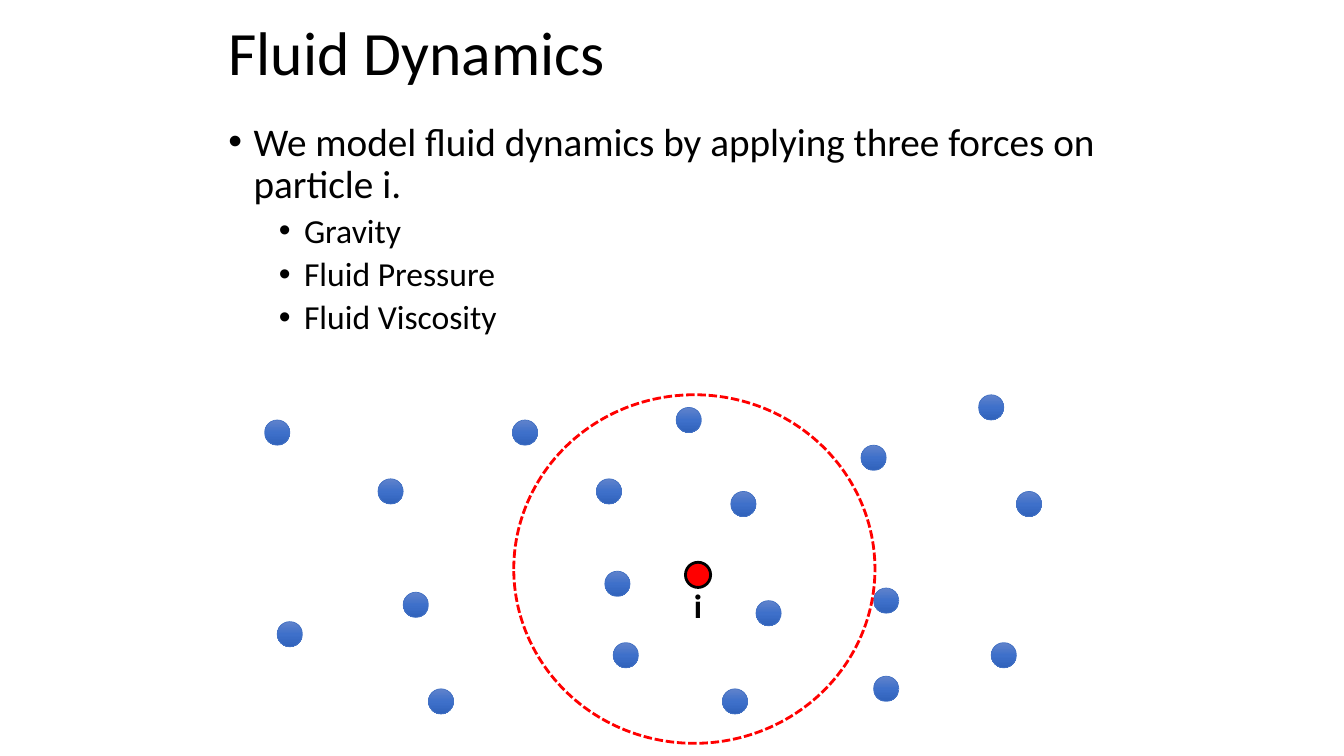
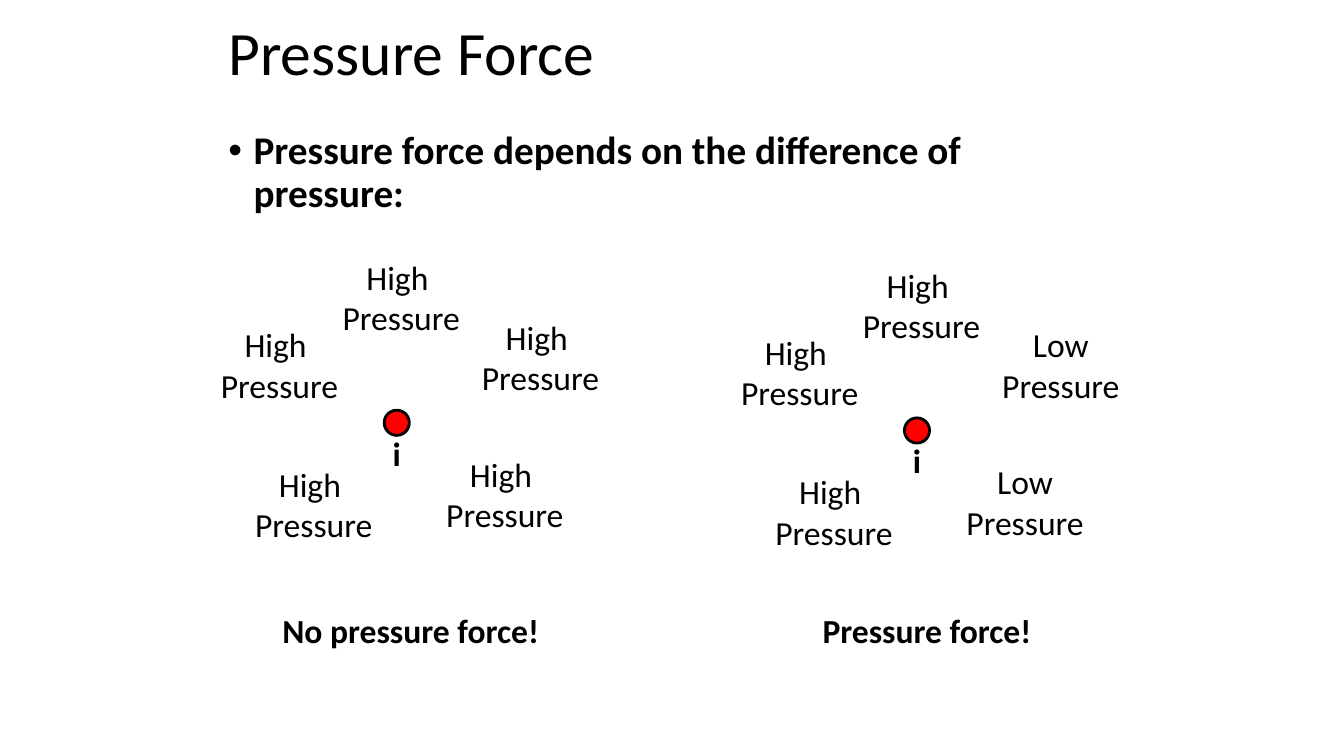
from copy import deepcopy
from dataclasses import dataclass

from lxml.etree import SubElement
from pptx import Presentation
from pptx.dml.color import RGBColor
from pptx.enum.dml import MSO_LINE
from pptx.enum.shapes import MSO_SHAPE
from pptx.enum.text import MSO_ANCHOR, MSO_AUTO_SIZE, PP_ALIGN
from pptx.oxml.ns import qn
from pptx.presentation import Presentation as Deck
from pptx.shapes.autoshape import Shape
from pptx.slide import Slide
from pptx.text.text import _Paragraph as Paragraph
from pptx.util import Pt

FONT = "Calibri"
BLACK = RGBColor(0x00, 0x00, 0x00)
RED = RGBColor(0xFF, 0x00, 0x00)
PARTICLE_EDGE = RGBColor(0x44, 0x72, 0xC4)
PARTICLE_GRADIENT = (
    RGBColor(0x61, 0x83, 0xCB),
    RGBColor(0x3E, 0x70, 0xCA),
    RGBColor(0x30, 0x62, 0xBB),
)

CONTENT_LEFT, CONTENT_WIDTH = 156, 648
PARTICLE_SIZE = 18
LABEL_SIZE = 24
CAPTION_TOP = 432

NEIGHBOURS = (
    (270, 342), (438, 459), (516, 492), (366, 300), (432, 408),
    (426, 342), (540, 429), (483, 291), (615, 318), (624, 420),
    (522, 351), (708, 459), (288, 423), (726, 351), (699, 282),
    (624, 483), (198, 444), (189, 300), (306, 492),
)

# Label positions relative to particle i: top, left, upper right, lower right, lower left
PRESSURE_OFFSETS = ((-37.5, -113), (-124.5, -65), (62, -70.5), (36.5, 27.5), (-100, 34.5))
HIGH, LOW = "High ", "Low"


@dataclass(frozen=True)
class Bullet:
    text: str
    level: int = 0
    bold: bool = False


@dataclass(frozen=True)
class PressureCase:
    left: float
    top: float
    levels: tuple[str, ...]
    caption: str
    caption_left: float
    caption_width: float


PRESSURE_CASES = (
    PressureCase(274.4, 293, (HIGH,) * 5, "No pressure force!", 193.7, 199.4),
    PressureCase(646, 298.5, (HIGH, HIGH, LOW, LOW, HIGH), "Pressure force!", 579.6, 165),
)


def add_text(paragraph: Paragraph, text: str, size: float, bold: bool = False) -> None:
    run = paragraph.add_run()
    run.text = text
    run.font.name = FONT
    run.font.size = Pt(size)
    run.font.bold = bold
    run.font.color.rgb = BLACK


def place(shape: Shape, left: float, top: float, width: float, height: float) -> None:
    shape.left, shape.top = Pt(left), Pt(top)
    shape.width, shape.height = Pt(width), Pt(height)


def set_bullet(paragraph: Paragraph, level: int) -> None:
    paragraph.level = level
    paragraph.line_spacing = 0.9
    paragraph.space_before = Pt(5 if level else 10)
    properties = paragraph._p.get_or_add_pPr()
    properties.set("marL", str(Pt(18 + 36 * level)))
    properties.set("indent", str(Pt(-18)))
    SubElement(properties, qn("a:buFont"), typeface="Arial")
    SubElement(properties, qn("a:buChar"), char="•")


def add_content_slide(deck: Deck, title: str, bullets: list[Bullet], body_top: float) -> Slide:
    slide = deck.slides.add_slide(deck.slide_layouts[1])
    heading, body = slide.shapes.title, slide.placeholders[1]

    place(heading, CONTENT_LEFT, -5, CONTENT_WIDTH, 90)
    heading.text_frame.auto_size = MSO_AUTO_SIZE.NONE
    heading.text_frame.vertical_anchor = MSO_ANCHOR.MIDDLE
    heading_line = heading.text_frame.paragraphs[0]
    heading_line.alignment = PP_ALIGN.LEFT
    heading_line.line_spacing = 0.9
    add_text(heading_line, title, 44)

    place(body, CONTENT_LEFT, body_top, CONTENT_WIDTH, 180)
    frame = body.text_frame
    frame.auto_size = MSO_AUTO_SIZE.NONE
    for index, bullet in enumerate(bullets):
        paragraph = frame.add_paragraph() if index else frame.paragraphs[0]
        set_bullet(paragraph, bullet.level)
        add_text(paragraph, bullet.text, 24 if bullet.level else 28, bullet.bold)
    return slide


def add_label(slide: Slide, lines: tuple[str, ...], left: float, top: float,
              width: float, height: float, bold: bool = False,
              align: PP_ALIGN = PP_ALIGN.CENTER) -> None:
    frame = slide.shapes.add_textbox(Pt(left), Pt(top), Pt(width), Pt(height)).text_frame
    frame.word_wrap = False
    frame.auto_size = MSO_AUTO_SIZE.SHAPE_TO_FIT_TEXT
    for index, line in enumerate(lines):
        paragraph = frame.add_paragraph() if index else frame.paragraphs[0]
        paragraph.alignment = align
        add_text(paragraph, line, LABEL_SIZE, bold)


def add_ellipse(slide: Slide, left: float, top: float, width: float, height: float,
                edge: RGBColor, edge_width: float) -> Shape:
    ellipse = slide.shapes.add_shape(
        MSO_SHAPE.OVAL, Pt(left), Pt(top), Pt(width), Pt(height))
    ellipse.shadow.inherit = False
    ellipse.line.color.rgb = edge
    ellipse.line.width = Pt(edge_width)
    return ellipse


def add_neighbour(slide: Slide, left: float, top: float) -> None:
    particle = add_ellipse(slide, left, top, PARTICLE_SIZE, PARTICLE_SIZE, PARTICLE_EDGE, 0.5)
    fill = particle.fill
    fill.gradient()
    fill.gradient_angle = 270
    stop_list = particle._element.spPr.find(qn("a:gradFill")).find(qn("a:gsLst"))
    stop_list.append(deepcopy(stop_list[-1]))
    for stop, color, position in zip(fill.gradient_stops, PARTICLE_GRADIENT, (0, 0.5, 1)):
        stop.color.rgb = color
        stop.position = position


def add_particle_i(slide: Slide, left: float, top: float) -> None:
    particle = add_ellipse(slide, left, top, PARTICLE_SIZE, PARTICLE_SIZE, BLACK, 2)
    particle.fill.solid()
    particle.fill.fore_color.rgb = RED
    add_label(slide, ("i",), left - 1, top + 12.5, 20, 36, bold=True, align=PP_ALIGN.LEFT)


def add_pressure_case(slide: Slide, case: PressureCase) -> None:
    add_particle_i(slide, case.left, case.top)
    for level, (dx, dy) in zip(case.levels, PRESSURE_OFFSETS):
        add_label(slide, (level, "Pressure"), case.left + dx, case.top + dy, 99.4, 65.4)
    add_label(slide, (case.caption,), case.caption_left, CAPTION_TOP,
              case.caption_width, 36, bold=True)


def build_fluid_dynamics(deck: Deck) -> None:
    slide = add_content_slide(deck, "Fluid Dynamics", [
        Bullet("We model fluid dynamics by applying three forces on particle i."),
        Bullet("Gravity", 1),
        Bullet("Fluid Pressure", 1),
        Bullet("Fluid Viscosity", 1),
    ], body_top=84)
    for left, top in NEIGHBOURS:
        add_neighbour(slide, left, top)
    add_particle_i(slide, 489.6, 401.6)
    neighbourhood = add_ellipse(slide, 367, 282, 258, 249, RED, 2)
    neighbourhood.fill.background()
    neighbourhood.line.dash_style = MSO_LINE.SQUARE_DOT


def build_pressure_force(deck: Deck) -> None:
    slide = add_content_slide(deck, "Pressure Force", [
        Bullet("Pressure force depends on the difference of pressure:", bold=True),
    ], body_top=90)
    for case in PRESSURE_CASES:
        add_pressure_case(slide, case)


def main() -> None:
    deck = Presentation()
    deck.slide_width, deck.slide_height = Pt(960), Pt(540)
    build_fluid_dynamics(deck)
    build_pressure_force(deck)
    deck.save("out.pptx")


if __name__ == "__main__":
    main()
